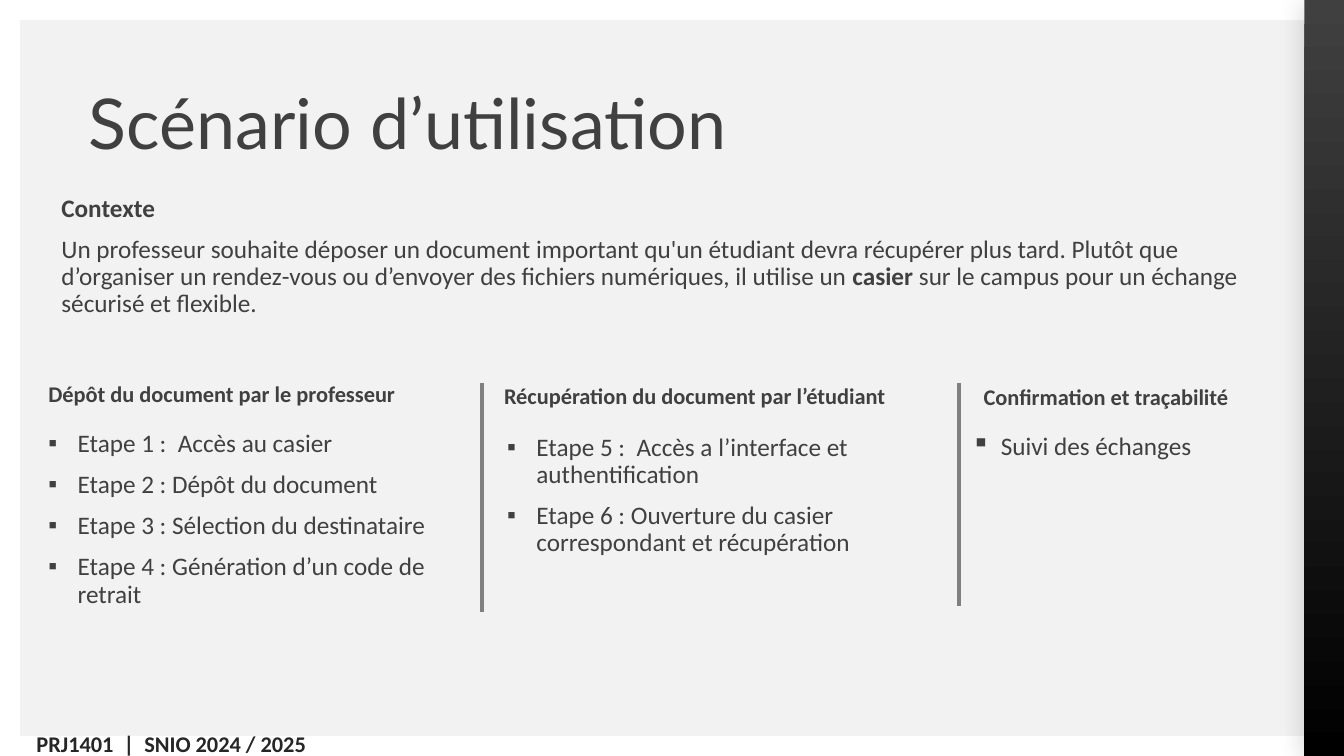
import dataclasses
import typing

import lxml.etree
import pptx
import pptx.dml.color
import pptx.enum.shapes
import pptx.enum.text
import pptx.oxml.ns
import pptx.util

COLORS = {
    "background": "F2F2F2",
    "frame": "FFFFFF",
    "bar_top": "404040",
    "bar_bottom": "000000",
    "text": "404040",
    "footer": "262626",
    "divider": "808080",
}
WIDTH, HEIGHT = pptx.util.Inches(13.33), pptx.util.Inches(7.5)
BULLET_INDENT = pptx.util.Inches(0.29)
ALIGN = pptx.enum.text.PP_ALIGN


class Box(typing.NamedTuple):
    """Left, top, width and height as percentages of the slide."""
    left: float
    top: float
    width: float
    height: float


@dataclasses.dataclass
class Column:
    heading: str
    steps: list[str]
    heading_box: Box
    steps_box: Box
    placeholders: tuple[int, int] | None = None


@dataclasses.dataclass
class Divider:
    x: float
    bottom: float
    top: float = 50.67


FRAME = [Box(0, 97.33, 100, 2.67), Box(0, 0, 100, 2.67), Box(0, 0, 1.5, 100)]
BAR = Box(97.05, 0, 2.95, 100)
DIVIDERS = [Divider(35.85, 80.93), Divider(71.33, 80.13)]
COLUMNS = [
    Column(
        "Dépôt du document par le professeur",
        [
            "Etape 1 :  Accès au casier",
            "Etape 2 : Dépôt du document",
            "Etape 3 : Sélection du destinataire",
            "Etape 4 : Génération d’un code de retrait",
        ],
        Box(2.85, 50, 30.98, 5.47), Box(2.85, 56.27, 31.2, 28.27), (1, 2),
    ),
    Column(
        "Récupération du document par l’étudiant",
        [
            "Etape 5 :  Accès a l’interface et authentification",
            "Etape 6 : Ouverture du casier correspondant et récupération",
        ],
        Box(36.75, 50.27, 34.35, 5.47), Box(36.98, 56.8, 31.2, 16.27), (3, 4),
    ),
    Column(
        "Confirmation et traçabilité",
        ["Suivi des échanges"],
        Box(72.45, 50.4, 23.33, 5.47), Box(71.55, 56.67, 24.15, 8.4),
    ),
]
CONTEXT = [
    [("Contexte", True)],
    [
        ("Un professeur souhaite déposer un document important qu'un étudiant "
         "devra récupérer plus tard. Plutôt que d’organiser un rendez-vous ou "
         "d’envoyer des fichiers numériques, il utilise un ", False),
        ("casier", True),
        (" sur le campus pour un échange sécurisé et flexible.", False),
    ],
]


def rgb(name: str) -> pptx.dml.color.RGBColor:
    return pptx.dml.color.RGBColor.from_string(COLORS[name])


def x_at(share: float) -> int:
    return round(WIDTH * share / 100)


def y_at(share: float) -> int:
    return round(HEIGHT * share / 100)


def place(box: Box) -> tuple[int, int, int, int]:
    return x_at(box.left), y_at(box.top), x_at(box.width), y_at(box.height)


def add_xml(parent, tag: str, **attributes: str):
    return lxml.etree.SubElement(parent, pptx.oxml.ns.qn(tag), attributes)


def write(s, box: Box, paragraphs: list, *, holder=None, size: float = 18,
          font: str = "Calibri", color: str = "text", bold: bool = False,
          bullet: bool = False, align=ALIGN.LEFT, inset: bool = True) -> None:
    sp = holder if holder is not None else s.shapes.add_textbox(*place(box))
    sp.left, sp.top, sp.width, sp.height = place(box)
    tf = sp.text_frame
    tf.word_wrap = True
    tf.auto_size = pptx.enum.text.MSO_AUTO_SIZE.NONE
    tf.vertical_anchor = pptx.enum.text.MSO_ANCHOR.TOP
    if not inset:
        tf.margin_left = tf.margin_right = tf.margin_top = tf.margin_bottom = 0
    for i, paragraph in enumerate(paragraphs):
        p = tf.add_paragraph() if i else tf.paragraphs[0]
        pPr = p._p.get_or_add_pPr()
        indent = BULLET_INDENT if bullet else 0
        pPr.set("marL", str(indent))
        pPr.set("indent", str(-indent))
        if bullet:
            add_xml(pPr, "a:buChar", char="▪")
        else:
            add_xml(pPr, "a:buNone")
        p.alignment = align
        p.line_spacing = 0.9
        p.space_before = pptx.util.Pt(10 if i else 0)
        runs = [(paragraph, bold)] if isinstance(paragraph, str) else paragraph
        for text, strong in runs:
            r = p.add_run()
            r.text = text
            r.font.size = pptx.util.Pt(size)
            r.font.name = font
            r.font.bold = strong
            r.font.color.rgb = rgb(color)


def add_block(s, box: Box):
    sp = s.shapes.add_shape(pptx.enum.shapes.MSO_SHAPE.RECTANGLE, *place(box))
    sp.shadow.inherit = False
    sp.line.fill.background()
    return sp


def add_frame(s) -> None:
    for box in FRAME:
        sp = add_block(s, box)
        sp.fill.solid()
        sp.fill.fore_color.rgb = rgb("frame")


def add_bar(s) -> None:
    sp = add_block(s, BAR)
    sp.fill.gradient()
    sp.fill.gradient_angle = 270
    for stop, name in zip(sp.fill.gradient_stops, ("bar_top", "bar_bottom")):
        stop.color.rgb = rgb(name)
    effects = sp._element.spPr.find(pptx.oxml.ns.qn("a:effectLst"))
    shadow = add_xml(effects, "a:outerShdw", blurRad=str(pptx.util.Pt(18)),
                     dist=str(pptx.util.Pt(3)), dir="8100000", rotWithShape="0")
    tint = add_xml(shadow, "a:srgbClr", val=COLORS["bar_bottom"])
    add_xml(tint, "a:alpha", val="15000")


def add_divider(s, divider: Divider) -> None:
    x = x_at(divider.x)
    line = s.shapes.add_connector(pptx.enum.shapes.MSO_CONNECTOR.STRAIGHT,
                                  x, y_at(divider.top), x, y_at(divider.bottom))
    line.line.color.rgb = rgb("divider")
    line.line.width = pptx.util.Pt(3)
    add_xml(line._element.spPr, "a:effectLst")


def add_column(s, column: Column) -> None:
    heading = steps = None
    if column.placeholders:
        heading, steps = (s.placeholders[i] for i in column.placeholders)
    write(s, column.heading_box, [column.heading], holder=heading, size=16, bold=True)
    write(s, column.steps_box, column.steps, holder=steps, bullet=True)


def main() -> None:
    prs = pptx.Presentation()
    prs.slide_width, prs.slide_height = WIDTH, HEIGHT
    s = prs.slides.add_slide(prs.slide_layouts.get_by_name("Comparison"))
    s.background.fill.solid()
    s.background.fill.fore_color.rgb = rgb("background")
    add_frame(s)
    add_bar(s)
    write(s, Box(-5.7, 96.93, 36.9, 12.8), ["PRJ1401  |  SNIO 2024 / 2025"],
          size=16, color="footer", bold=True, align=ALIGN.CENTER, inset=False)
    write(s, Box(6.6, 11.73, 49.2, 10.53), ["Scénario d’utilisation"],
          holder=s.shapes.title, size=50, font="Lato", inset=False)
    write(s, Box(3.83, 25.2, 90.6, 20.4), CONTEXT)
    for column in COLUMNS:
        add_column(s, column)
    for divider in DIVIDERS:
        add_divider(s, divider)
    prs.save("out.pptx")


if __name__ == "__main__":
    main()
